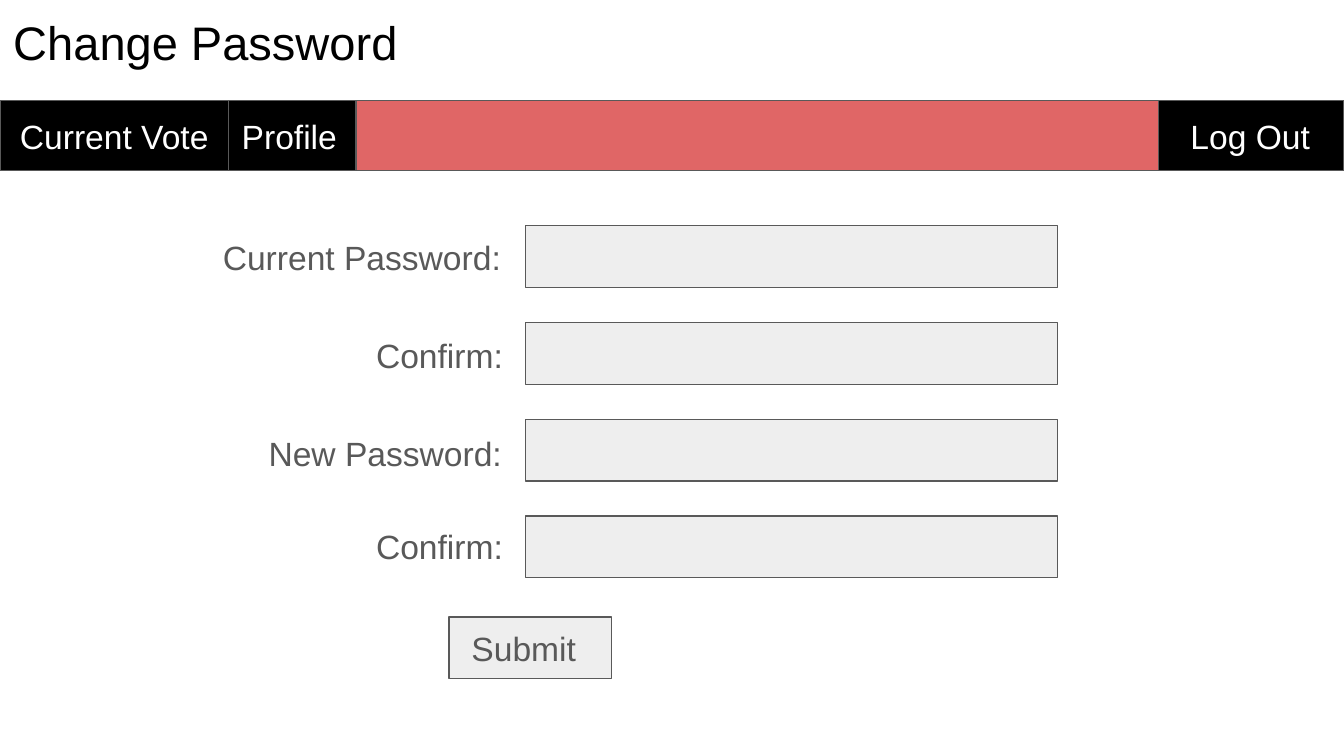
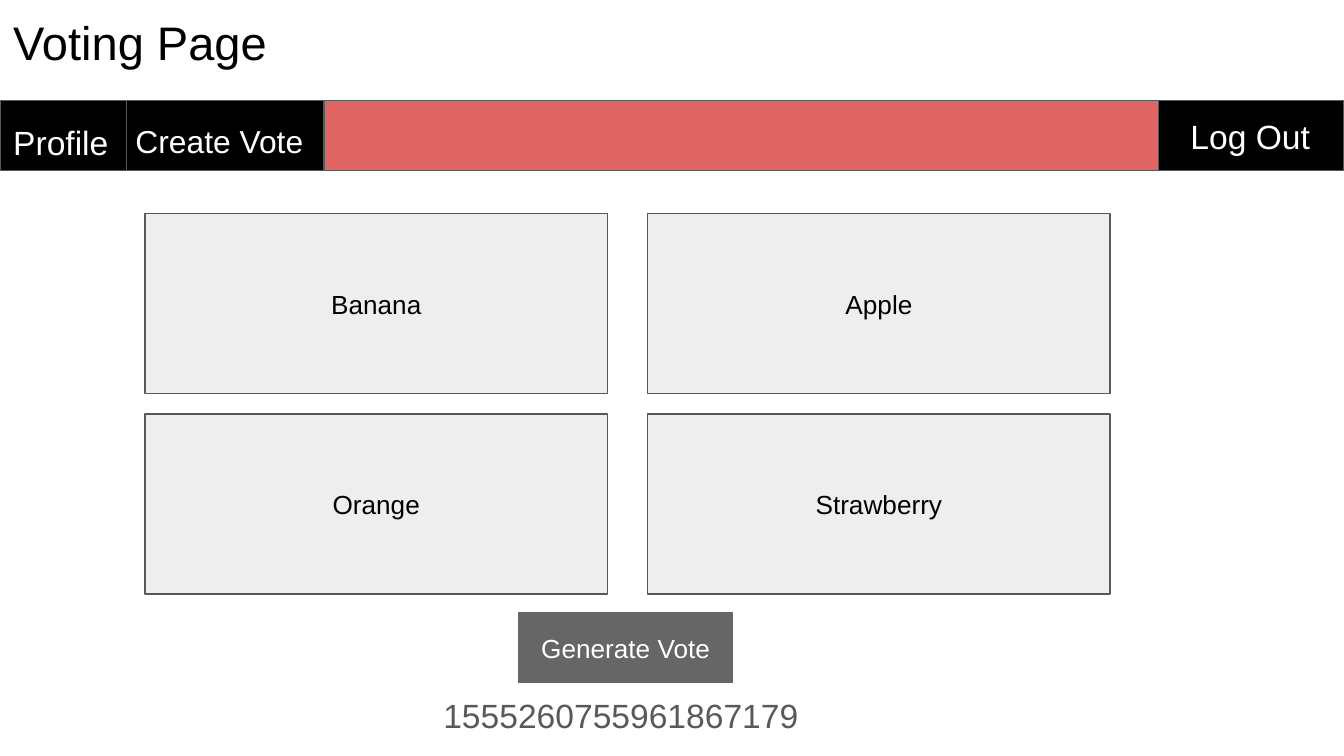
from itertools import product

from pptx import Presentation
from pptx.dml.color import RGBColor
from pptx.enum.shapes import MSO_SHAPE as Shape
from pptx.enum.text import MSO_ANCHOR as Anchor, PP_ALIGN as Align
from pptx.util import Inches, Pt

FONT = "Arial"
COLORS = {
    "black": "000000",
    "white": "FFFFFF",
    "band": "E06666",
    "edge": "595959",
    "field": "EEEEEE",
    "button": "666666",
}


def color(name):
    return RGBColor.from_string(COLORS[name])


def write(shape, text, size=18, ink="edge", align=Align.LEFT, anchor=Anchor.TOP):
    frame = shape.text_frame
    frame.word_wrap = True
    frame.vertical_anchor = anchor
    frame.margin_left = frame.margin_right = Inches(0.1)
    frame.margin_top = frame.margin_bottom = Inches(0.1)
    para = frame.paragraphs[0]
    para.alignment = align
    run = para.add_run()
    run.text = text
    run.font.name = FONT
    run.font.size = Pt(size)
    run.font.color.rgb = color(ink)


def add_text(slide, text, left, top, width, height, **style):
    box = slide.shapes.add_textbox(*map(Inches, (left, top, width, height)))
    write(box, text, **style)


def add_box(slide, left, top, width, height, fill, edge="edge"):
    box = slide.shapes.add_shape(
        Shape.RECTANGLE, *map(Inches, (left, top, width, height)))
    box.shadow.inherit = False
    box.fill.solid()
    box.fill.fore_color.rgb = color(fill)
    box.line.color.rgb = color(edge)
    box.line.width = Pt(0.75)
    return box


def add_button(slide, text, *place, fill="field", edge="edge", ink="black"):
    box = add_box(slide, *place, fill, edge)
    write(box, text, size=14, ink=ink, align=Align.CENTER, anchor=Anchor.MIDDLE)


def add_tab(slide, text, left, width, text_left, text_top, text_width,
            text_height=0.4, size=18):
    add_box(slide, left, 0.75, width, 0.52, "black")
    add_text(slide, text, text_left, text_top, text_width, text_height,
             size=size, ink="white")


def add_page(deck, title):
    """Add a slide with its title, the red band and the Log Out tab."""
    slide = deck.slides.add_slide(deck.slide_layouts[6])
    add_text(slide, title, 0, 0, 9.32, 0.63, size=25.2, ink="black")
    add_box(slide, 0, 0.75, 10, 0.52, "band")
    add_tab(slide, "Log Out", 8.62, 1.38, 8.76, 0.76, 1.1, 0.5)
    return slide


def add_password(deck):
    slide = add_page(deck, "Change Password")
    add_tab(slide, "Current Vote", 0, 1.7, 0.05, 0.76, 1.61)
    add_tab(slide, "Profile", 1.7, 0.95, 1.7, 0.76, 0.95)

    labels = [("Current Password:", 1.56, 1.66), ("Confirm:", 2.7, 2.39),
              ("New Password:", 1.9, 3.12), ("Confirm:", 2.7, 3.81)]
    for row, (label, left, top) in enumerate(labels):
        add_box(slide, 3.91, 1.68 + 0.72 * row, 3.96, 0.46, "field")
        add_text(slide, label, left, top, 4.5, 0.5)

    add_box(slide, 3.34, 4.59, 1.21, 0.46, "field")
    add_text(slide, "Submit", 3.41, 4.57, 4.5, 0.5)


def add_voting(deck):
    slide = add_page(deck, "Voting Page")
    add_tab(slide, "Profile", 0, 0.95, 0, 0.81, 0.95)
    add_tab(slide, "Create Vote", 0.94, 1.47, 0.91, 0.81, 1.47, size=17)

    add_button(slide, "Generate Vote", 3.86, 4.56, 1.59, 0.52,
               fill="button", edge="button", ink="white")
    add_text(slide, "1555260755961867179", 3.2, 5.07, 2.92, 0.4)

    fruits = ["Banana", "Apple", "Orange", "Strawberry"]
    for fruit, (row, col) in zip(fruits, product(range(2), repeat=2)):
        add_button(slide, fruit, 1.08 + 3.74 * col, 1.59 + 1.49 * row, 3.44, 1.34)


def main():
    deck = Presentation()
    deck.slide_width = Inches(10)
    deck.slide_height = Inches(10) * 9 // 16
    add_password(deck)
    add_voting(deck)
    deck.save("out.pptx")


if __name__ == "__main__":
    main()
